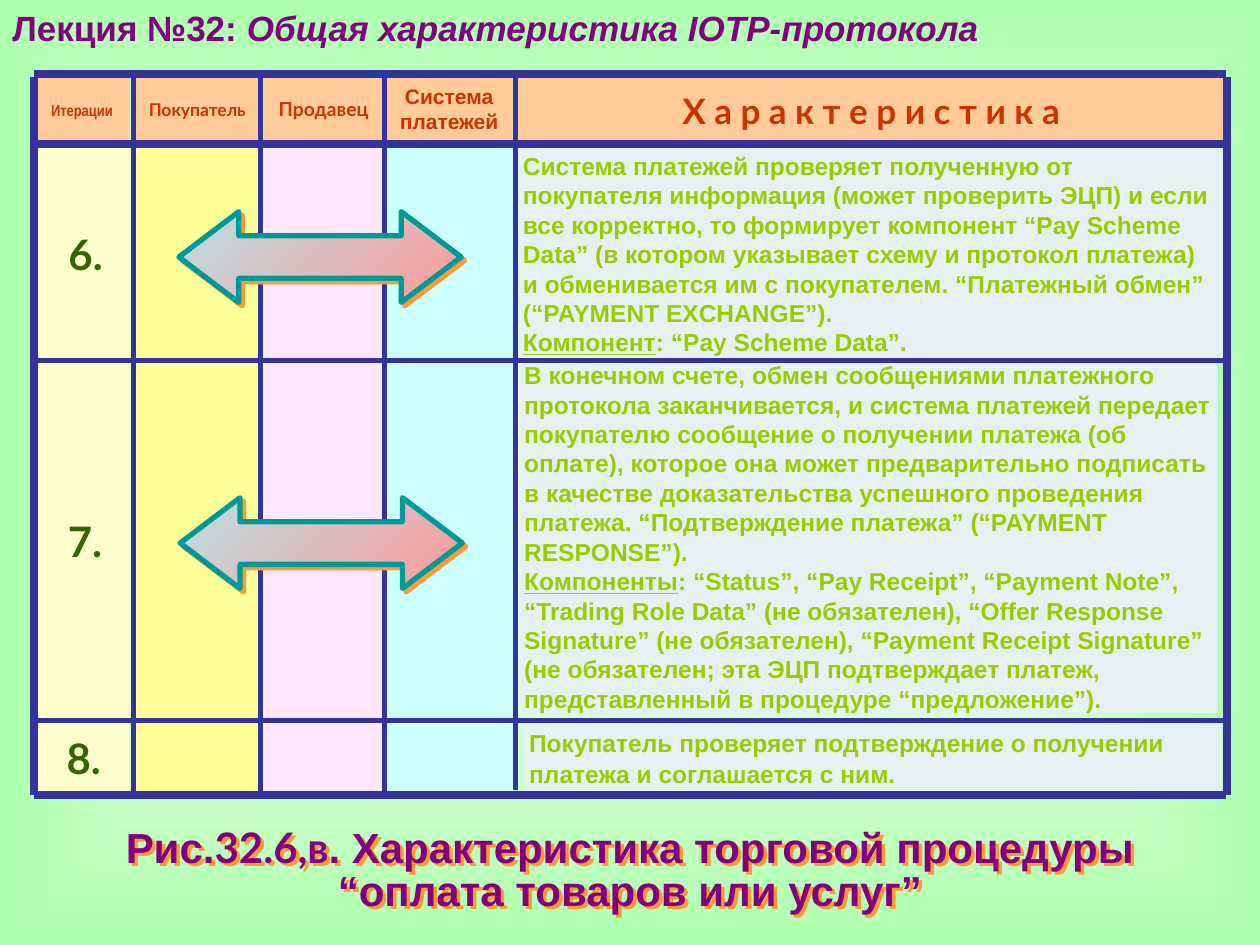
import pptx
import pptx.util
import pptx.oxml
import pptx.oxml.ns
import pptx.dml.color
import pptx.enum.shapes
import pptx.enum.text

Inches, Pt = pptx.util.Inches, pptx.util.Pt
SHAPE = pptx.enum.shapes.MSO_SHAPE
ALIGN = pptx.enum.text.PP_ALIGN
MIDDLE = pptx.enum.text.MSO_ANCHOR.MIDDLE

COLORS = {
    "white": "FFFFFF", "green": "AFFFAF", "purple": "800080", "navy": "333399",
    "cyan": "CCFFFF", "pink": "FFE7FF", "yellow": "FFFF99", "cream": "FFFFCC",
    "peach": "FFCC99", "pale": "E4F2F4", "rust": "CC3300", "lime": "99CC00",
    "forest": "336600", "sky": "BBE0E3", "rose": "FF9999", "teal": "009999",
    "orange": "FF9933",
}
FORMATS = {
    "title": {"size": Pt(20), "name": "Arial", "color": "purple"},
    "caption": {"size": Pt(24), "name": "Arial", "color": "purple"},
    "body": {"size": Pt(14), "name": "Arial", "color": "lime"},
    "number": {"size": Pt(24), "name": "Lato", "color": "forest"},
    "header": {"size": Pt(12), "name": "Arial", "color": "rust"},
}
NS = pptx.oxml.ns.nsdecls("a")


class Deck:
    """Holds the presentation, the current slide and the house style."""

    def __init__(self):
        self.prs = pptx.Presentation()
        self.prs.slide_width, self.prs.slide_height = Inches(10), Inches(7.5)
        self.s = self.prs.slides.add_slide(self.prs.slide_layouts[6])

    def rgb(self, name):
        return pptx.dml.color.RGBColor.from_string(COLORS[name])

    def gradient(self, fill, start, end):
        fill.gradient()
        for stop, position, color in zip(fill.gradient_stops, (0, 1), (start, end)):
            stop.position, stop.color.rgb = position, self.rgb(color)

    def background(self, start, end):
        self.gradient(self.s.background.fill, start, end)
        grad = self.s.element.xpath(".//p:bgPr/a:gradFill")[0]
        center = pptx.oxml.parse_xml(
            f'<a:path {NS} path="shape"><a:fillToRect l="50000" t="50000" '
            'r="50000" b="50000"/></a:path>')
        grad.replace(grad.find(pptx.oxml.ns.qn("a:lin")), center)

    def shadow(self, sp):
        sp.shadow.inherit = False
        effects = sp.element.spPr.find(pptx.oxml.ns.qn("a:effectLst"))
        effects.append(pptx.oxml.parse_xml(
            f'<a:outerShdw {NS} dist="35560" dir="2700000" algn="ctr" rotWithShape="0">'
            f'<a:srgbClr val="{COLORS["orange"]}"/></a:outerShdw>'))

    def text(self, sp, lines, style, margin=0.04, align=None, spacing=None, **changes):
        tf = sp.text_frame
        frame = dict.fromkeys(
            ("margin_left", "margin_right", "margin_top", "margin_bottom"), Inches(margin))
        for key, value in {**frame, "word_wrap": True, "vertical_anchor": MIDDLE}.items():
            setattr(tf, key, value)
        for i, line in enumerate(lines):
            p = tf.add_paragraph() if i else tf.paragraphs[0]
            p.alignment, p.line_spacing = align or ALIGN.LEFT, spacing
            for words, extra in [(line, {})] if isinstance(line, str) else line:
                r = p.add_run()
                r.text = words
                values = {"bold": True, **FORMATS[style], **changes, **extra}
                r.font.color.rgb = self.rgb(values.pop("color"))
                for key, value in values.items():
                    setattr(r.font, key, value)

    def textbox(self, box, lines, style, **options):
        sp = self.s.shapes.add_textbox(*map(Inches, box))
        self.text(sp, lines, style, **options)
        return sp

    def cell(self, box, color, lines=(), style="body", **options):
        sp = self.s.shapes.add_shape(SHAPE.RECTANGLE, *map(Inches, box))
        sp.shadow.inherit = False
        sp.fill.solid()
        sp.fill.fore_color.rgb = self.rgb(color)
        if lines:
            sp.line.fill.background()
            self.text(sp, lines, style, **options)
        else:
            sp.line.color.rgb, sp.line.width = self.rgb(color), Pt(0.75)

    def rule(self, x1, y1, x2, y2, width):
        line = self.s.shapes.add_connector(
            pptx.enum.shapes.MSO_CONNECTOR.STRAIGHT, *map(Inches, (x1, y1, x2, y2)))
        line.line.color.rgb, line.line.width = self.rgb("navy"), Pt(width)
        line.element.spPr.append(pptx.oxml.parse_xml(f"<a:effectLst {NS}/>"))

    def arrow(self, x, y):
        sp = self.s.shapes.add_shape(
            SHAPE.LEFT_RIGHT_ARROW, *map(Inches, (x, y, 2.24, 0.72)))
        sp.adjustments[0], sp.adjustments[1] = 0.47, 0.66
        self.gradient(sp.fill, "sky", "rose")
        sp.fill.gradient_angle = 315
        sp.line.color.rgb, sp.line.width = self.rgb("teal"), Pt(3)
        self.shadow(sp)


CHECK = [
    "Система платежей проверяет полученную от",
    "покупателя информация (может проверить ЭЦП) и если",
    "все корректно, то формирует компонент “Pay Scheme",
    "Data” (в котором указывает схему и протокол платежа)",
    "и обменивается им с покупателем. “Платежный обмен”",
    "(“PAYMENT EXCHANGE”).",
    [("Компонент", {"underline": True}), (": “Pay Scheme Data”.", {})],
]
RESPONSE = [
    "В конечном счете, обмен сообщениями платежного",
    "протокола заканчивается, и система платежей передает",
    "покупателю сообщение о получении платежа (об",
    "оплате), которое она может предварительно подписать",
    "в качестве доказательства успешного проведения",
    "платежа. “Подтверждение платежа” (“PAYMENT",
    "RESPONSE”).",
    [("Компоненты", {"underline": True}),
     (": “Status”, “Pay Receipt”, “Payment Note”,", {})],
    "“Trading Role Data” (не обязателен), “Offer Response",
    "Signature” (не обязателен), “Payment Receipt Signature”",
    "(не обязателен; эта ЭЦП подтверждает платеж,",
    "представленный в процедуре “предложение”).",
]
CONFIRM = ["Покупатель проверяет подтверждение о получении",
           "платежа и соглашается с ним."]
COLUMNS = [((3.06, 1.15, 1.02, 5.17), "cyan"), ((2.07, 1.16, 0.97, 5.14), "pink"),
           ((1.07, 1.16, 0.99, 5.15), "yellow")]
NUMBERS = [((0.3, 5.71, 0.73, 0.61), "8."), ((0.29, 2.87, 0.77, 2.84), "7."),
           ((0.3, 1.17, 0.76, 1.68), "6.")]
HEADERS = [
    ((3.06, 0.61, 1.01, 0.5), ["Система", "платежей"], "Arial", 12),
    ((4.09, 0.61, 5.65, 0.54), ["Х а р а к т е р и с т и к а"], "Lato", 20),
    ((2.09, 0.59, 0.96, 0.54), ["Продавец"], "Lato", 11),
    ((1.07, 0.6, 0.99, 0.54), ["Покупатель"], "Lato", 10),
    ((0.27, 0.62, 0.76, 0.51), ["Итерации"], "Arial Narrow", 9),
]


def main():
    deck = Deck()
    deck.background("white", "green")
    deck.textbox((0, 0, 10, 0.43), [[
        ("Лекция №32: ", {}), ("Общая характеристика IOTP-протокола", {"italic": True}),
    ]], "title", margin=0.1)
    caption = deck.textbox((0, 6.58, 10, 0.68), [
        [("Рис.", {}), ("32.6,в", {"name": "Lato"}),
         (". Характеристика торговой процедуры", {})],
        "“оплата товаров или услуг”",
    ], "caption", margin=0, align=ALIGN.CENTER, spacing=0.85)
    deck.shadow(caption)

    for box, color in COLUMNS:
        deck.cell(box, color)
    deck.cell((4.16, 5.75, 5.54, 0.53), "pale", CONFIRM, spacing=1.05)
    deck.cell((4.11, 1.17, 5.62, 1.69), "pale", CHECK)
    for box, number in NUMBERS:
        deck.cell(box, "cream", [number], "number", align=ALIGN.CENTER)
    for box, lines, name, size in HEADERS:
        deck.cell(box, "peach", lines, "header", align=ALIGN.CENTER,
                  name=name, size=Pt(size))

    for y in (0.59, 1.14, 6.31):
        deck.rule(0.27, y, 9.73, y, 4.5)
    for x, top, width in ((1.06, 0.6, 3), (2.07, 0.61, 3), (3.05, 0.6, 3),
                          (4.09, 0.57, 3), (0.27, 0.61, 4.5), (9.74, 0.61, 4.5)):
        deck.rule(x, top, x, top + 5.7, width)
    deck.cell((4.12, 2.86, 5.54, 2.8), "pale", RESPONSE)
    for y in (2.86, 5.72):
        deck.rule(0.27, y, 9.73, y, 3)
    for x, y in ((1.42, 1.68), (1.43, 3.95)):
        deck.arrow(x, y)
    deck.prs.save("out.pptx")


if __name__ == "__main__":
    main()
